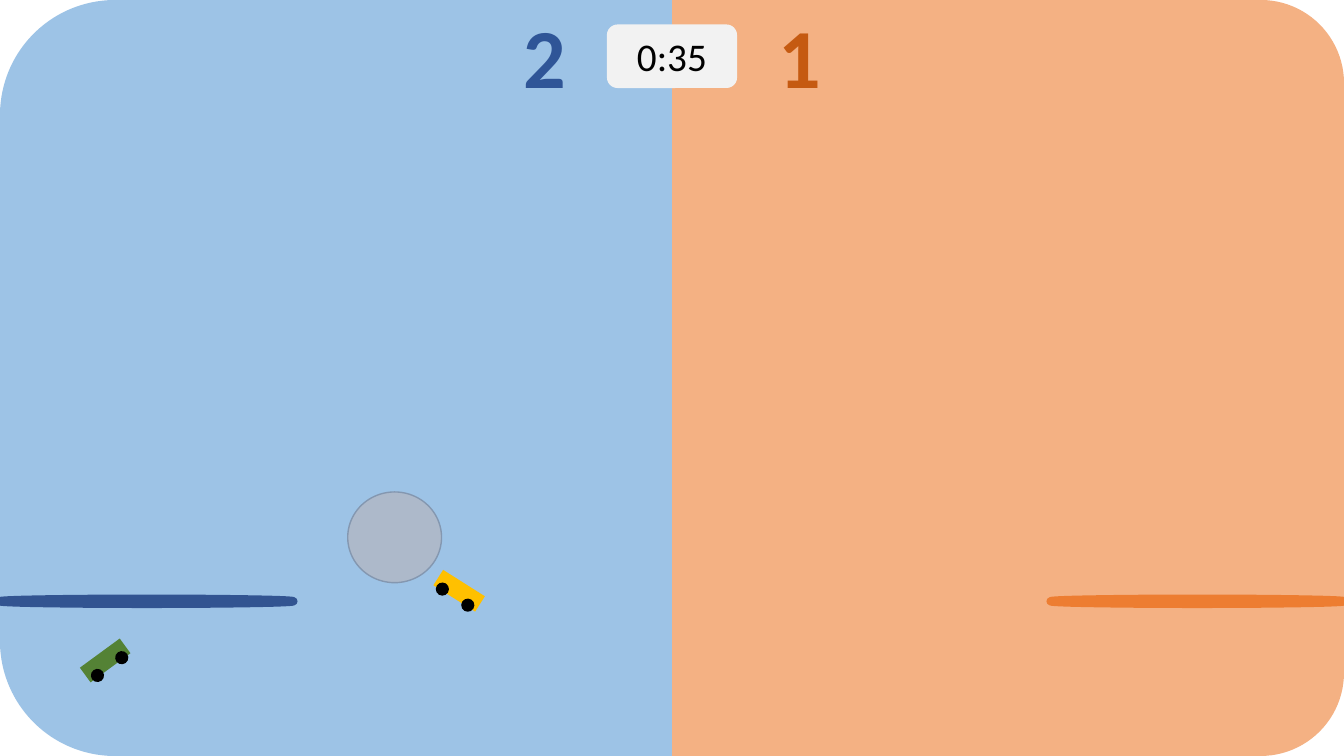
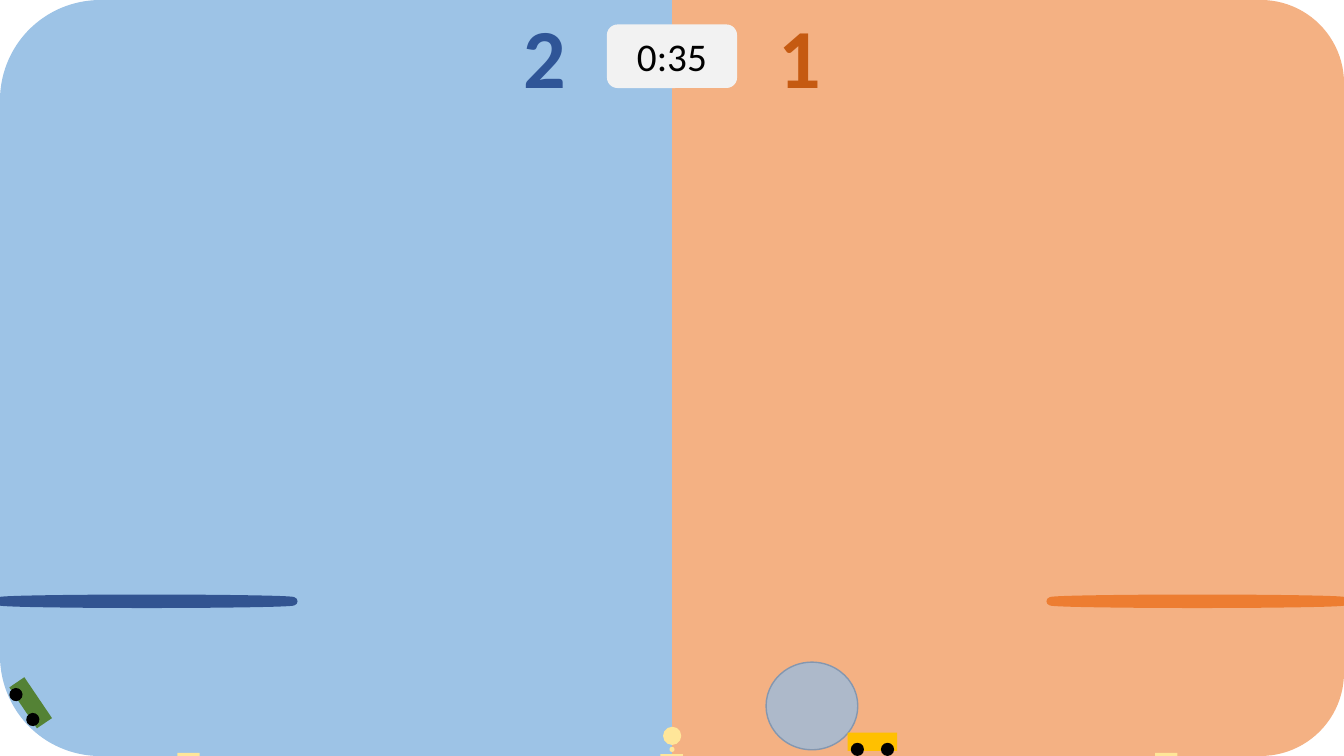
from dataclasses import dataclass
from typing import Any, NamedTuple

from pptx import Presentation
from pptx.dml.color import RGBColor
from pptx.enum.shapes import MSO_SHAPE
from pptx.enum.text import MSO_ANCHOR, PP_ALIGN
from pptx.util import Pt


@dataclass(frozen=True)
class Theme:
    font: str = "Calibri"
    score_size: float = 60
    timer_size: float = 28
    blue_half: str = "9DC3E6"
    orange_half: str = "F4B183"
    blue_score: str = "2F5597"
    orange_score: str = "C55A11"
    blue_goal: str = "DAE3F3"
    blue_goal_line: str = "325491"
    orange_goal: str = "FBE5D6"
    orange_goal_line: str = "ED7D31"
    ball: str = "ADB9CA"
    ball_line: str = "8497B0"
    yellow_car: str = "FFC000"
    green_car: str = "548235"
    black: str = "000000"
    timer: str = "F2F2F2"
    boost: str = "FFE699"


class Box(NamedTuple):
    left: float
    top: float
    width: float
    height: float


class Car(NamedTuple):
    center_x: float
    center_y: float
    angle: float
    color: str


class Scene(NamedTuple):
    blue_corner: float
    ball: Box
    cars: tuple[Car, ...]
    boosts: tuple[tuple[MSO_SHAPE, Box], ...] = ()


THEME = Theme()
WIDTH, HEIGHT = 960, 540
ORANGE_CORNER = 0.124
GOAL_WIDTH = 209.5
SCORE_OFFSET, SCORE_WIDTH = 91, 60
CAR_WIDTH, CAR_HEIGHT, BODY_HEIGHT = 35.3, 16.6, 13
WHEEL, WHEEL_INSET = 9.4, 2.2
SCENES = (
    Scene(
        0.171,
        Box(248.4, 351.4, 67, 64.8),
        (Car(327, 423.5, 32.3, THEME.yellow_car), Car(76.2, 473.2, 323.8, THEME.green_car)),
    ),
    Scene(
        0.149,
        Box(547.2, 473, 65.5, 62.6),
        (Car(623.2, 531.7, 0, THEME.yellow_car), Car(20.4, 503, 55.9, THEME.green_car)),
        (
            (MSO_SHAPE.OVAL, Box(478.2, 533.5, 3.6, 3.6)),
            (MSO_SHAPE.RECTANGLE, Box(471.8, 538.6, 16, 3.6)),
            (MSO_SHAPE.RECTANGLE, Box(825.1, 537.8, 16, 3.6)),
            (MSO_SHAPE.RECTANGLE, Box(126.7, 537.8, 16, 3.6)),
            (MSO_SHAPE.OVAL, Box(473.6, 519.1, 13, 13)),
        ),
    ),
)


def add_shape(shapes: Any, kind: MSO_SHAPE, box: Box, fill: str,
              line: str | None = None, line_width: float = 1) -> Any:
    """Add a flat preset shape, outlined only if a line colour is given."""
    shape = shapes.add_shape(kind, *map(Pt, box))
    shape.shadow.inherit = False
    shape.fill.solid()
    shape.fill.fore_color.rgb = RGBColor.from_string(fill)
    if line:
        shape.line.color.rgb = RGBColor.from_string(line)
        shape.line.width = Pt(line_width)
    else:
        shape.line.fill.background()
    return shape


def write(shape: Any, text: str, size: float, color: str, bold: bool = False) -> None:
    """Write one centred line of text in a shape."""
    shape.text_frame.word_wrap = True
    paragraph = shape.text_frame.paragraphs[0]
    paragraph.alignment = PP_ALIGN.CENTER
    run = paragraph.add_run()
    run.text = text
    run.font.name = THEME.font
    run.font.size = Pt(size)
    run.font.bold = bold
    run.font.color.rgb = RGBColor.from_string(color)


def add_half(shapes: Any, center_x: float, angle: float, corner: float, fill: str) -> None:
    """Add one half of the field, its rounded corners facing outward."""
    box = Box(center_x - HEIGHT / 2, (HEIGHT - WIDTH / 2) / 2, HEIGHT, WIDTH / 2)
    half = add_shape(shapes, MSO_SHAPE.ROUND_2_SAME_RECTANGLE, box, fill)
    half.adjustments[0] = corner
    half.adjustments[1] = 0
    half.rotation = angle


def add_goal(shapes: Any, left: float, fill: str, line: str) -> None:
    """Add a flat goal platform."""
    add_shape(shapes, MSO_SHAPE.OVAL, Box(left, 427.7, GOAL_WIDTH, 3.6), fill, line, 6)


def add_score(shapes: Any, center_x: float, score: str, color: str) -> None:
    """Add a team score centred on the given position."""
    box = shapes.add_textbox(*map(Pt, Box(center_x - SCORE_WIDTH / 2, 0, SCORE_WIDTH, 80)))
    write(box, score, THEME.score_size, color, bold=True)


def add_car(shapes: Any, car: Car) -> None:
    """Add a car as a rotated group of a body and two wheels."""
    left, top = car.center_x - CAR_WIDTH / 2, car.center_y - CAR_HEIGHT / 2
    group = shapes.add_group_shape()
    add_shape(group.shapes, MSO_SHAPE.RECTANGLE, Box(left, top, CAR_WIDTH, BODY_HEIGHT), car.color)
    for offset in (WHEEL_INSET, CAR_WIDTH - WHEEL_INSET - WHEEL):
        wheel = Box(left + offset, top + CAR_HEIGHT - WHEEL, WHEEL, WHEEL)
        add_shape(group.shapes, MSO_SHAPE.OVAL, wheel, THEME.black)
    group.rotation = car.angle


def add_timer(shapes: Any) -> None:
    """Add the match clock."""
    timer = add_shape(shapes, MSO_SHAPE.ROUNDED_RECTANGLE, Box(433.5, 17.5, 93, 45.4), THEME.timer)
    timer.text_frame.vertical_anchor = MSO_ANCHOR.MIDDLE
    write(timer, "0:35", THEME.timer_size, THEME.black)


def draw_scene(shapes: Any, scene: Scene) -> None:
    """Draw the field and the current state of play."""
    add_half(shapes, WIDTH / 4, 270, scene.blue_corner, THEME.blue_half)
    add_half(shapes, WIDTH * 3 / 4, 90, ORANGE_CORNER, THEME.orange_half)
    add_goal(shapes, 0, THEME.blue_goal, THEME.blue_goal_line)
    add_shape(shapes, MSO_SHAPE.OVAL, scene.ball, THEME.ball, THEME.ball_line)
    add_score(shapes, WIDTH / 2 - SCORE_OFFSET, "2", THEME.blue_score)
    add_score(shapes, WIDTH / 2 + SCORE_OFFSET, "1", THEME.orange_score)
    for car in scene.cars:
        add_car(shapes, car)
    add_goal(shapes, WIDTH - GOAL_WIDTH, THEME.orange_goal, THEME.orange_goal_line)
    add_timer(shapes)
    for kind, box in scene.boosts:
        add_shape(shapes, kind, box, THEME.boost)


def main() -> None:
    """Build and save the presentation."""
    deck = Presentation()
    deck.slide_width, deck.slide_height = Pt(WIDTH), Pt(HEIGHT)
    for scene in SCENES:
        draw_scene(deck.slides.add_slide(deck.slide_layouts[6]).shapes, scene)
    deck.save("out.pptx")


main()
